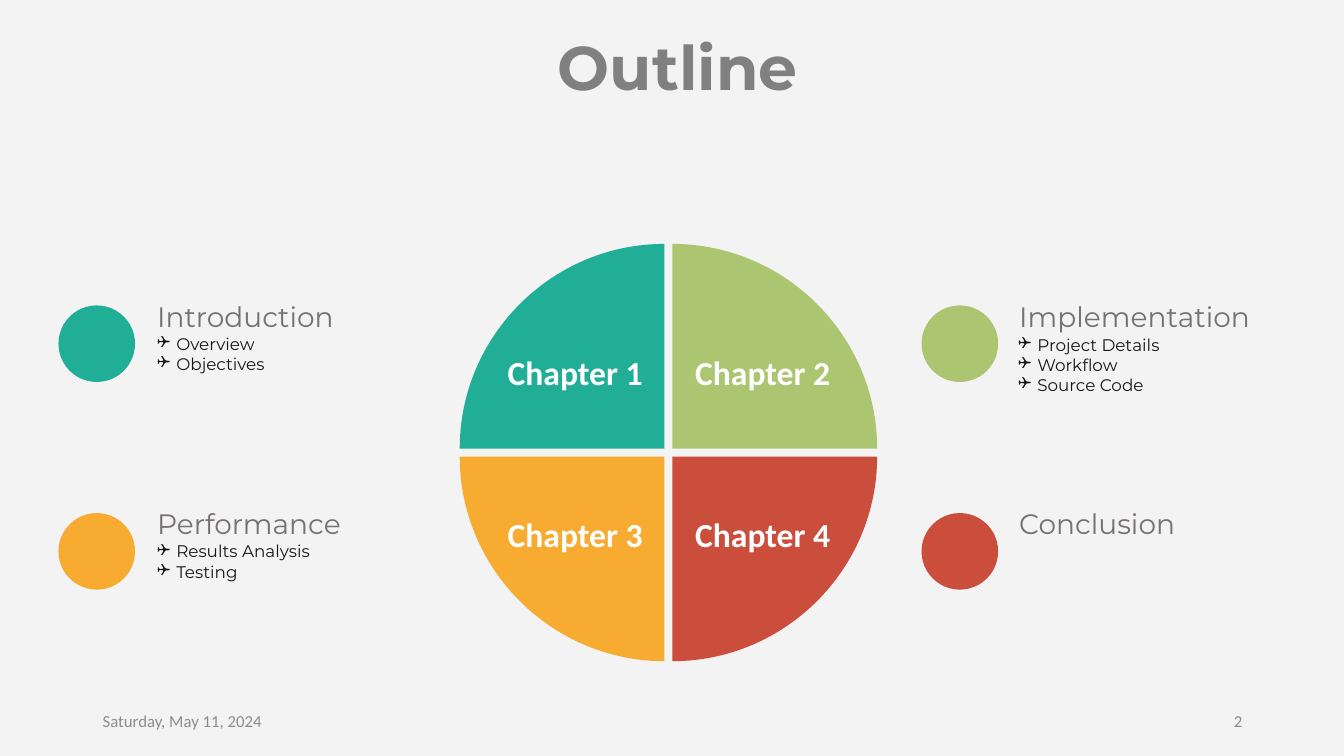
from lxml import etree
from pptx import Presentation
from pptx.dml.color import RGBColor
from pptx.enum.shapes import MSO_SHAPE
from pptx.enum.text import MSO_ANCHOR, MSO_AUTO_SIZE, PP_ALIGN
from pptx.oxml.ns import qn
from pptx.util import Inches, Pt

OVAL = MSO_SHAPE.OVAL
LEFT, CENTER, RIGHT = PP_ALIGN.LEFT, PP_ALIGN.CENTER, PP_ALIGN.RIGHT
TOP, MIDDLE = MSO_ANCHOR.TOP, MSO_ANCHOR.MIDDLE
GROW, FIXED = MSO_AUTO_SIZE.SHAPE_TO_FIT_TEXT, MSO_AUTO_SIZE.NONE

COLORS = {
    "background": "F3F3F3",
    "teal": "20AE97",
    "green": "ABC570",
    "orange": "F7AB31",
    "red": "CB4D3C",
    "white": "FFFFFF",
    "title": "808080",
    "heading": "767171",
    "body": "181717",
    "footer": "8C8C8C",
}
HEADING_FONT, PLAIN_FONT, BULLET_FONT = "Montserrat", "Calibri", "Wingdings"

# Pie geometry in inches
PIE_X, PIE_Y = 6.63, 4.49
HALF_GAP = 0.04
RADIUS = 2.03
ARC_HANDLE = 0.55  # Bezier handle of a quarter circle, as a share of the radius

DOT_SIZE = 0.76
BULLET_INDENT = 0.19

# color, column, row, heading, heading width, bullet items, bullet box
CHAPTERS = [
    ("teal", 0, 0, "Introduction", 2.24,
     ["Overview", "Objectives"], (1.46, 3.26, 2.89, 0.5)),
    ("green", 1, 0, "Implementation", 2.66,
     ["Project Details", "Workflow", "Source Code"], (10, 3.27, 3.32, 0.71)),
    ("orange", 0, 1, "Performance", 2.24,
     ["Results Analysis", "Testing"], (1.46, 5.32, 2.89, 0.5)),
    ("red", 1, 1, "Conclusion", 2.24, [], None),
]


def rgb(name):
    return RGBColor.from_string(COLORS[name])


def paint(shape, color):
    shape.shadow.inherit = False
    shape.fill.solid()
    shape.fill.fore_color.rgb = rgb(color)
    shape.line.fill.background()


def add_bullet(paragraph):
    properties = paragraph._p.get_or_add_pPr()
    properties.set("marL", str(Inches(BULLET_INDENT)))
    properties.set("indent", str(-Inches(BULLET_INDENT)))
    etree.SubElement(properties, qn("a:buFont")).set("typeface", BULLET_FONT)
    etree.SubElement(properties, qn("a:buChar")).set("char", "❑")


def add_text(shapes, box, lines, size, color, font=HEADING_FONT, bold=False,
             align=LEFT, anchor=TOP, fit=GROW, bulleted=False):
    shape = shapes.add_textbox(*[Inches(value) for value in box])
    frame = shape.text_frame
    frame.word_wrap = True
    frame.auto_size = fit
    frame.vertical_anchor = anchor
    frame.text = "\n".join(lines)
    for paragraph in frame.paragraphs:
        if bulleted:
            add_bullet(paragraph)
        paragraph.alignment = align
        paragraph.font.name = font
        paragraph.font.size = Pt(size)
        paragraph.font.bold = bold
        paragraph.font.color.rgb = rgb(color)


def add_quadrant(shapes, column, row, color):
    """Draw a quarter disc whose corner faces the middle of the pie."""
    side_x, side_y = 2 * column - 1, 2 * row - 1
    corner_x = PIE_X + side_x * HALF_GAP
    corner_y = PIE_Y + side_y * HALF_GAP

    def point(across, down):
        return (Inches(corner_x + side_x * RADIUS * across),
                Inches(corner_y + side_y * RADIUS * down))

    builder = shapes.build_freeform(*point(1, 0))
    builder.add_line_segments([point(0, 0), point(0, 1)], close=True)
    shape = builder.convert_to_shape()
    paint(shape, color)

    # Round the outer edge, from the vertical tip back to the horizontal one
    curve = etree.Element(qn("a:cubicBezTo"))
    for x, y in (point(ARC_HANDLE, 1), point(1, ARC_HANDLE), point(1, 0)):
        node = etree.SubElement(curve, qn("a:pt"))
        node.set("x", str(x - shape.left))
        node.set("y", str(y - shape.top))
    next(shape._element.iter(qn("a:close"))).addprevious(curve)


def add_chapter(slide, number, column, row, color):
    shapes = slide.shapes.add_group_shape().shapes
    add_quadrant(shapes, column, row, color)
    box = (4.67 + 1.86 * column, 3.44 + 1.61 * row, 2.07, 0.5)
    add_text(shapes, box, [f"Chapter {number}"], 24, "white",
             font=PLAIN_FONT, bold=True, align=CENTER)


def add_legend_entry(slide, column, row, color, heading, width, items, box):
    left, top = 0.58 + 8.56 * column, 3.03 + 2.06 * row
    dot = slide.shapes.add_shape(OVAL, Inches(left), Inches(top),
                                 Inches(DOT_SIZE), Inches(DOT_SIZE))
    paint(dot, color)
    heading_box = (1.46 + 8.55 * column, top - 0.11, width, 0.44)
    add_text(slide.shapes, heading_box, [heading], 20, "heading")
    if items:
        add_text(slide.shapes, box, items, 12, "body", bulleted=True)


def main():
    presentation = Presentation()
    presentation.slide_width = Inches(13.33)
    presentation.slide_height = Inches(7.5)
    slide = presentation.slides.add_slide(presentation.slide_layouts[6])
    slide.background.fill.solid()
    slide.background.fill.fore_color.rgb = rgb("background")

    # Pie of chapters
    for number, (color, column, row, *_) in enumerate(CHAPTERS, 1):
        add_chapter(slide, number, column, row, color)

    # Legend, left column first
    for color, column, row, *entry in sorted(CHAPTERS, key=lambda c: c[1]):
        add_legend_entry(slide, column, row, color, *entry)

    # Title
    add_text(slide.shapes, (2.71, 0.24, 8.03, 0.84), ["Outline"], 44, "title",
             bold=True, align=CENTER)

    # Footer
    add_text(slide.shapes, (0.92, 6.95, 3, 0.4), ["Saturday, May 11, 2024"],
             12, "footer", font=PLAIN_FONT, anchor=MIDDLE, fit=FIXED)
    add_text(slide.shapes, (9.42, 6.95, 3, 0.4), ["2"], 12, "footer",
             font=PLAIN_FONT, align=RIGHT, anchor=MIDDLE, fit=FIXED)

    presentation.save("out.pptx")


if __name__ == "__main__":
    main()
